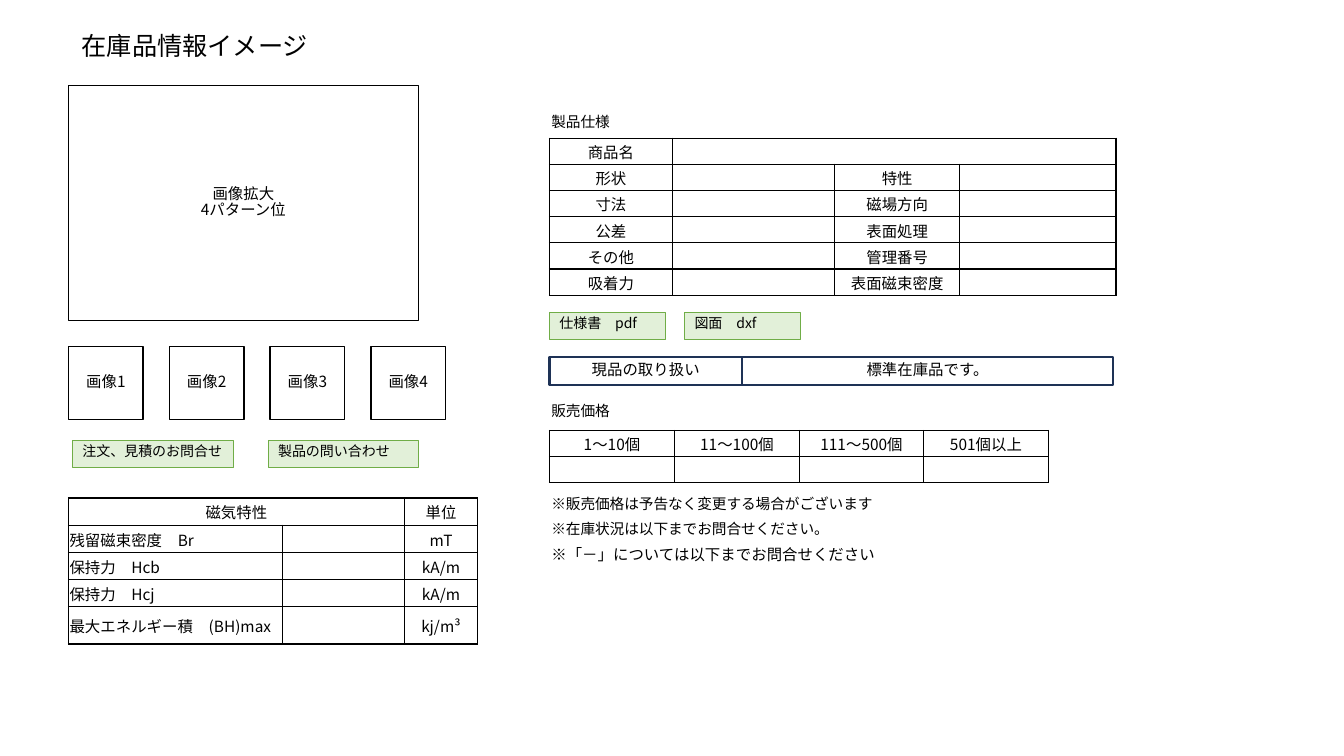
import pptx
import pptx.dml.color
import pptx.enum.shapes
import pptx.enum.text
import pptx.oxml
import pptx.oxml.ns
import pptx.util
from pptx.util import Inches

COLORS = {"text": "000000", "paper": "FFFFFF", "frame": "1E3256",
          "button": "E2F0D9", "button_line": "70AD47"}
FONT = "Noto Sans CJK JP"
ALIGN = pptx.enum.text.PP_ALIGN
ANCHOR = pptx.enum.text.MSO_ANCHOR


def color(name):
    return pptx.dml.color.RGBColor.from_string(COLORS[name])


def assign(target, values):
    for name, value in values.items():
        setattr(target, name, value)


class StockPage:
    def __init__(self, deck):
        self.page = deck.slides.add_slide(deck.slide_layouts[5])
        self.spacing = 0.83

    def put_text(self, frame, text, size, align, spacing=None):
        for index, line in enumerate(text.split("\n")):
            para = frame.paragraphs[0] if index == 0 else frame.add_paragraph()
            assign(para, {"alignment": align, "line_spacing": spacing})
            if not line:
                # An empty cell keeps its row height through the end mark
                para._p.get_or_add_endParaRPr().set("sz", str(size * 100))
                continue
            span = para.add_run()
            span.text = line
            assign(span.font, {"name": FONT, "size": pptx.util.Pt(size), "bold": False})
            span.font.color.rgb = color("text")
            latin = span._r.rPr.find(pptx.oxml.ns.qn("a:latin"))
            latin.addnext(pptx.oxml.parse_xml(
                f'<a:ea {pptx.oxml.ns.nsdecls("a")} typeface="{FONT}"/>'))

    def title(self, text, left, top, width, height):
        box = self.page.shapes.title
        assign(box, {"left": Inches(left), "top": Inches(top),
                     "width": Inches(width), "height": Inches(height)})
        assign(box.text_frame, {"word_wrap": False, "vertical_anchor": ANCHOR.TOP,
                                "auto_size": pptx.enum.text.MSO_AUTO_SIZE.NONE})
        self.put_text(box.text_frame, text, 18, ALIGN.LEFT, self.spacing)

    def label(self, text, top, width, size=10.5):
        box = self.page.shapes.add_textbox(Inches(5.37), Inches(top), Inches(width), Inches(0.28))
        box.text_frame.word_wrap = True
        self.put_text(box.text_frame, text, size, ALIGN.LEFT, self.spacing)

    def box(self, text, left, top, width, height, fill="paper", line="text", weight=1,
            size=11, align=ALIGN.CENTER, anchor=ANCHOR.MIDDLE):
        shape = self.page.shapes.add_shape(
            pptx.enum.shapes.MSO_SHAPE.RECTANGLE,
            Inches(left), Inches(top), Inches(width), Inches(height))
        shape.shadow.inherit = False
        shape.fill.solid()
        shape.fill.fore_color.rgb = color(fill)
        shape.line.color.rgb = color(line)
        shape.line.width = pptx.util.Pt(weight)
        assign(shape.text_frame, {"word_wrap": True, "vertical_anchor": anchor})
        self.put_text(shape.text_frame, text, size, align, self.spacing)

    def button(self, text, left, top, width):
        self.box(text, left, top, width, 0.27, "button", "button_line", 0.75,
                 10, ALIGN.LEFT, ANCHOR.TOP)

    def border(self, cell):
        properties = cell._tc.get_or_add_tcPr()
        for index, side in enumerate(("lnL", "lnR", "lnT", "lnB")):
            properties.insert(index, pptx.oxml.parse_xml(
                f'<a:{side} {pptx.oxml.ns.nsdecls("a")} w="12700"><a:solidFill>'
                f'<a:srgbClr val="{COLORS["text"]}"/></a:solidFill></a:{side}>'))

    def table(self, left, top, widths, heights, rows, merge=None, left_cells=()):
        grid = self.page.shapes.add_table(
            len(heights), len(widths), Inches(left), Inches(top),
            Inches(sum(widths)), Inches(sum(heights))).table
        assign(grid, {"first_row": False, "horz_banding": False})
        for column, width in zip(grid.columns, widths):
            column.width = Inches(width)
        for row, height in zip(grid.rows, heights):
            row.height = Inches(height)
        for r, texts in enumerate(rows):
            for c, text in enumerate(texts):
                cell = grid.cell(r, c)
                assign(cell, {"margin_left": Inches(0.01), "margin_right": Inches(0.01),
                              "margin_top": Inches(0.01), "margin_bottom": 0,
                              "vertical_anchor": ANCHOR.MIDDLE})
                cell.fill.solid()
                cell.fill.fore_color.rgb = color("paper")
                self.border(cell)
                align = ALIGN.LEFT if (r, c) in left_cells else ALIGN.CENTER
                self.put_text(cell.text_frame, text, 11, align)
        if merge:
            first, last = merge
            grid.cell(0, first).merge(grid.cell(0, last))


def main():
    deck = pptx.Presentation()
    assign(deck, {"slide_width": Inches(13.33), "slide_height": Inches(7.5)})
    stock = StockPage(deck)
    stock.title("在庫品情報イメージ", 0.71, 0.3, 2.47, 0.4)

    # Enlarged view and its four thumbnails
    stock.box("画像拡大\n4パターン位", 0.68, 0.85, 3.47, 2.33)
    for index in range(4):
        stock.box(f"画像{index + 1}", 0.68 + index, 3.44, 0.74, 0.72)

    # Product specification
    stock.label("製品仕様", 1.1, 1.42)
    stock.table(5.45, 1.37, [1.22, 1.61, 1.24, 1.55], [0.26] * 6, [
        ["商品名", "", "", ""],
        ["形状", "", "特性", ""],
        ["寸法", "", "磁場方向", ""],
        ["公差", "", "表面処理", ""],
        ["その他", "", "管理番号", ""],
        ["吸着力", "", "表面磁束密度", ""],
    ], merge=(1, 3))

    # Magnetic properties
    stock.table(0.68, 4.94, [2.12, 1.21, 0.73], [0.27] * 4 + [0.37], [
        ["磁気特性", "", "単位"],
        ["残留磁束密度　Br", "", "mT"],
        ["保持力　Hcb", "", "kA/m"],
        ["保持力　Hcj", "", "kA/m"],
        ["最大エネルギー積　(BH)max", "", "kj/m³"],
    ], merge=(0, 1), left_cells=[(r, 0) for r in range(1, 5)])

    # Sales prices
    stock.label("販売価格", 3.97, 1.42)
    stock.table(5.45, 4.27, [1.24, 1.24, 1.23, 1.24], [0.26] * 2, [
        ["1～10個", "11～100個", "111～500個", "501個以上"],
        [""] * 4,
    ])

    # Notes
    stock.label("※販売価格は予告なく変更する場合がございます", 4.89, 4.71)
    stock.label("※在庫状況は以下までお問合せください。", 5.14, 4.71)
    stock.label("※「－」については以下までお問合せください", 5.39, 4.71, 11)

    # Handling of the item
    for text, left, width in [("現品の取り扱い", 5.45, 1.91), ("標準在庫品です。", 7.36, 3.68)]:
        stock.box(text, left, 3.54, width, 0.28, line="frame", weight=1.5)

    # Buttons
    for text, left, top, width in [("製品の問い合わせ", 2.66, 4.37, 1.49),
                                   ("仕様書　pdf", 5.45, 3.1, 1.15),
                                   ("図面　dxf", 6.79, 3.1, 1.15),
                                   ("注文、見積のお問合せ", 0.72, 4.37, 1.6)]:
        stock.button(text, left, top, width)

    deck.save("out.pptx")


if __name__ == "__main__":
    main()
